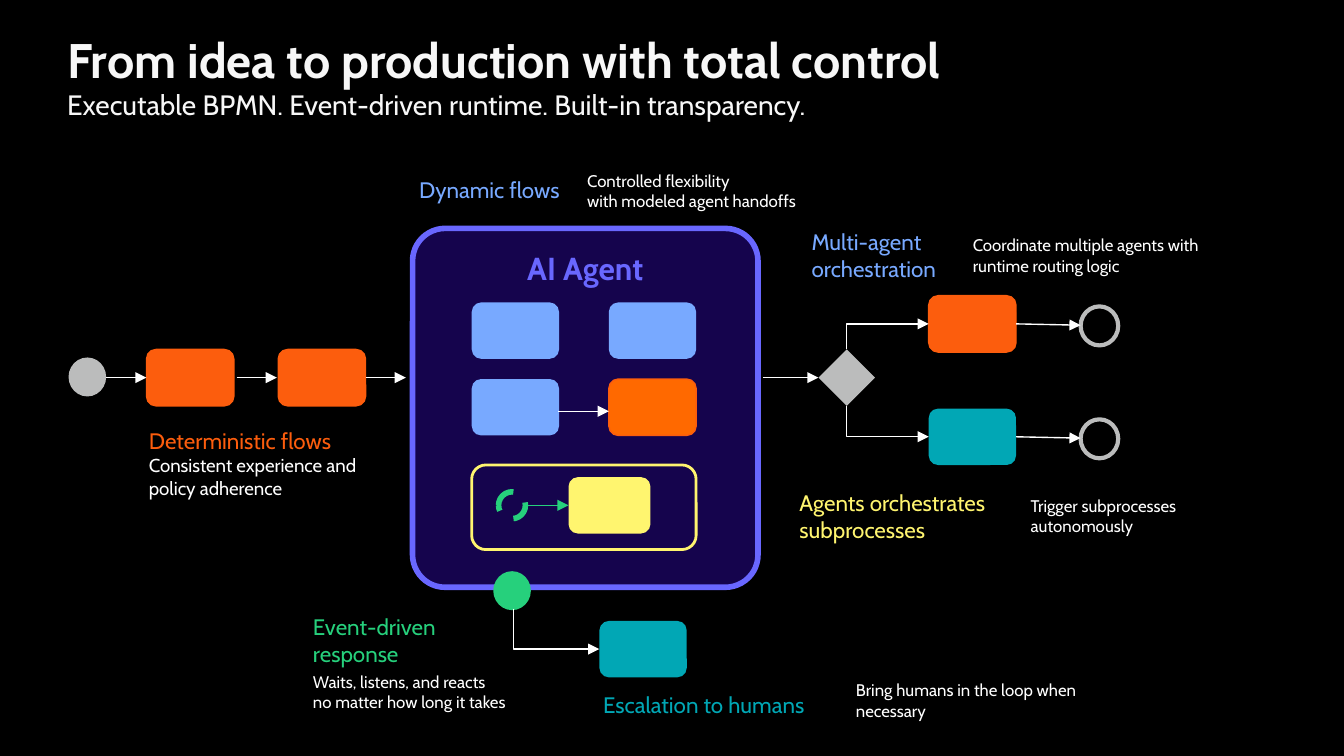
from lxml import etree
from pptx import Presentation
from pptx import util as u
from pptx.dml.color import RGBColor
from pptx.enum import dml, shapes, text
from pptx.oxml.ns import qn

FONT = "Cabin"
WHITE, GREY, BLACK = "FFFFFF", "BBBCBC", "000000"
ORANGE, BLUE, TEAL = "FC5D0D", "78A9FF", "01A7B5"
GREEN, YELLOW, VIOLET = "26D07C", "FFF56F", "6967FF"
COLUMNS, ROWS = 100, 56.25
TASK = (6.5, 4.2)
EVENT = (2.8, 2.9)
KIND = shapes.MSO_SHAPE
FLOW_AXIS = 28.1


def grid(*cells):
    return [u.Inches(cell / 10) for cell in cells]


def color(value):
    return RGBColor.from_string(value)


def write(paragraph, content, size, tint, bold=False):
    for index, part in enumerate(content.split("\n")):
        if index:
            paragraph.add_line_break()
        run = paragraph.add_run()
        run.text = part
        run.font.name = FONT
        run.font.size = u.Pt(size)
        run.font.bold = bold
        run.font.color.rgb = color(tint)


def write_all(frame, lines):
    for index, line in enumerate(lines):
        paragraph = frame.add_paragraph() if index else frame.paragraphs[0]
        paragraph.alignment = text.PP_ALIGN.LEFT
        write(paragraph, *line)


def set_insets(frame, inset):
    frame.margin_left = frame.margin_right = u.Inches(inset)
    frame.margin_top = frame.margin_bottom = u.Inches(inset)
    frame.vertical_anchor = text.MSO_ANCHOR.TOP
    frame.word_wrap = True


def add_heading(slide):
    heading = slide.shapes.title
    heading.left, heading.top, heading.width, heading.height = grid(5, 2.2, 90, 6.9)
    frame = heading.text_frame
    frame.auto_size = text.MSO_AUTO_SIZE.NONE
    set_insets(frame, 0)
    write_all(frame, [
        ("From idea to production with total control", 26, "F7F7F7", True),
        ("Executable BPMN. Event-driven runtime. Built-in transparency.", 15, "F7F7F7"),
    ])


def add_label(slide, box, *lines):
    frame = slide.shapes.add_textbox(*grid(*box)).text_frame
    set_insets(frame, 0.1)
    write_all(frame, lines)


def add_node(slide, kind, box, fill=None, line=None, weight=0.75, corner=None):
    node = slide.shapes.add_shape(kind, *grid(*box))
    node.shadow.inherit = False
    if corner:
        node.adjustments[0] = corner
    if fill:
        node.fill.solid()
        node.fill.fore_color.rgb = color(fill)
    else:
        node.fill.background()
    if line:
        node.line.color.rgb = color(line)
        node.line.width = u.Pt(weight)
    else:
        node.line.fill.background()
    return node


def add_task(slide, left, top, fill, line=None, size=TASK):
    return add_node(slide, KIND.ROUNDED_RECTANGLE, (left, top, *size), fill, line, corner=0.167)


def add_event(slide, left, top, fill=None, line=None):
    return add_node(slide, KIND.OVAL, (left, top, *EVENT), fill, line, weight=2.25)


def finish_arrow(arrow, tint):
    arrow.line.color.rgb = color(tint)
    arrow.line.width = u.Pt(0.75)
    properties = arrow._element.spPr
    etree.SubElement(properties.find(qn("a:ln")), qn("a:tailEnd"), type="triangle")
    etree.SubElement(properties, qn("a:effectLst"))


def add_arrow(slide, start, end, tint=WHITE):
    arrow = slide.shapes.add_connector(shapes.MSO_CONNECTOR.STRAIGHT, *grid(*start, *end))
    finish_arrow(arrow, tint)


def add_branch(slide, start, end):
    middle_x, middle_y = (start[0] + end[0]) / 2, (start[1] + end[1]) / 2
    half_x, half_y = (end[0] - start[0]) / 2, (end[1] - start[1]) / 2
    branch = slide.shapes.add_connector(
        shapes.MSO_CONNECTOR.ELBOW,
        *grid(middle_x + half_y, middle_y - half_x, middle_x - half_y, middle_y + half_x))
    properties = branch._element.spPr
    properties.find(qn("a:xfrm")).set("rot", "16200000")
    properties.find(qn("a:prstGeom")).set("prst", "bentConnector2")
    finish_arrow(branch, WHITE)


def add_deterministic_flow(slide):
    add_event(slide, 5.1, 26.6, GREY)
    for left in (10.9, 20.7):
        add_task(slide, left, 26, ORANGE, ORANGE)
    for start, end in ((7.9, 10.9), (17.6, 20.6), (27.2, 30.2), (56.8, 60.9)):
        add_arrow(slide, (start, FLOW_AXIS), (end, FLOW_AXIS))
    add_label(slide, (10.1, 30.8, 18, 3.4),
              ("Deterministic flows", 12, ORANGE),
              ("Consistent experience and policy adherence", 10, WHITE))


def add_agent(slide):
    agent = add_node(slide, KIND.ROUNDED_RECTANGLE, (30.7, 17, 25.7, 26.7),
                     "280892", VIOLET, 3, 0.094)
    tint = agent._element.spPr.find(qn("a:solidFill"))[0]
    etree.SubElement(tint, qn("a:alpha"), val="53000")
    frame = agent.text_frame
    set_insets(frame, 0.1)
    frame.margin_top = u.Inches(0.08)
    frame.paragraphs[0].alignment = text.PP_ALIGN.CENTER
    write(frame.paragraphs[0], "AI Agent", 17, VIOLET, True)

    for left, top in ((35.1, 22.5), (45.3, 22.5), (35.1, 28.2)):
        add_task(slide, left, top, BLUE)
    add_task(slide, 45.3, 28.2, "FF6900", ORANGE)
    add_arrow(slide, (41.5, 30.6), (45.3, 30.6))

    add_node(slide, KIND.ROUNDED_RECTANGLE, (35.1, 34.6, 16.7, 6.3),
             None, YELLOW, 1.5, 0.167)
    loop = add_node(slide, KIND.OVAL, (37.1, 36.6, 2, 2), None, GREEN, 3)
    loop.line.dash_style = dml.MSO_LINE.DASH
    add_task(slide, 42.3, 35.5, YELLOW, size=(6.1, 4.2))
    add_arrow(slide, (39.2, 37.6), (42.3, 37.6), GREEN)

    add_label(slide, (30.2, 12.1, 25.3, 3.4), ("Dynamic flows", 12, BLUE))
    add_label(slide, (42.7, 11.7, 19.2, 5),
              ("Controlled flexibility\nwith modeled agent handoffs", 9, WHITE))


def add_orchestration(slide):
    add_node(slide, KIND.DIAMOND, (60.9, 26, 4.2, 4.2), GREY)
    for gate_y, top, fill, line in ((26, 22, ORANGE, ORANGE), (30.2, 30.4, TEAL, None)):
        axis = top + TASK[1] / 2
        add_task(slide, 69.1, top, fill, line)
        add_event(slide, 80.4, top + 0.8, line=GREY)
        add_branch(slide, (63, gate_y), (69.1, axis))
        add_arrow(slide, (75.6, axis), (80.4, axis + 0.1))
    add_label(slide, (59.4, 16, 16.1, 5.3), ("Multi-agent orchestration", 12, BLUE))
    add_label(slide, (71.4, 16.5, 19.2, 5),
              ("Coordinate multiple agents with runtime routing logic", 9, WHITE))
    add_label(slide, (58.5, 35.4, 21.5, 5.3), ("Agents orchestrates subprocesses", 12, YELLOW))
    add_label(slide, (75.7, 35.9, 19.2, 5), ("Trigger subprocesses autonomously", 9, WHITE))


def add_escalation(slide):
    add_task(slide, 44.6, 46.2, TEAL)
    add_event(slide, 36.7, 42.5, GREEN)
    add_branch(slide, (38.2, 45.3), (44.6, 48.3))
    add_label(slide, (22.3, 44.6, 12.8, 5.3),
              ("Event-driven", 12, GREEN), ("response", 12, GREEN))
    add_label(slide, (22.3, 49, 19.2, 5),
              ("Waits, listens, and reacts\nno matter how long it takes", 9, WHITE))
    add_label(slide, (43.9, 50.4, 23.3, 3.4), ("Escalation to humans", 12, TEAL))
    add_label(slide, (62.7, 49.6, 19.2, 5),
              ("Bring humans in the loop when necessary", 9, WHITE))


def main():
    deck = Presentation()
    deck.slide_width, deck.slide_height = grid(COLUMNS, ROWS)
    slide = deck.slides.add_slide(deck.slide_layouts[5])
    slide.background.fill.solid()
    slide.background.fill.fore_color.rgb = color(BLACK)
    add_heading(slide)
    add_deterministic_flow(slide)
    add_agent(slide)
    add_orchestration(slide)
    add_escalation(slide)
    deck.save("out.pptx")


if __name__ == "__main__":
    main()
